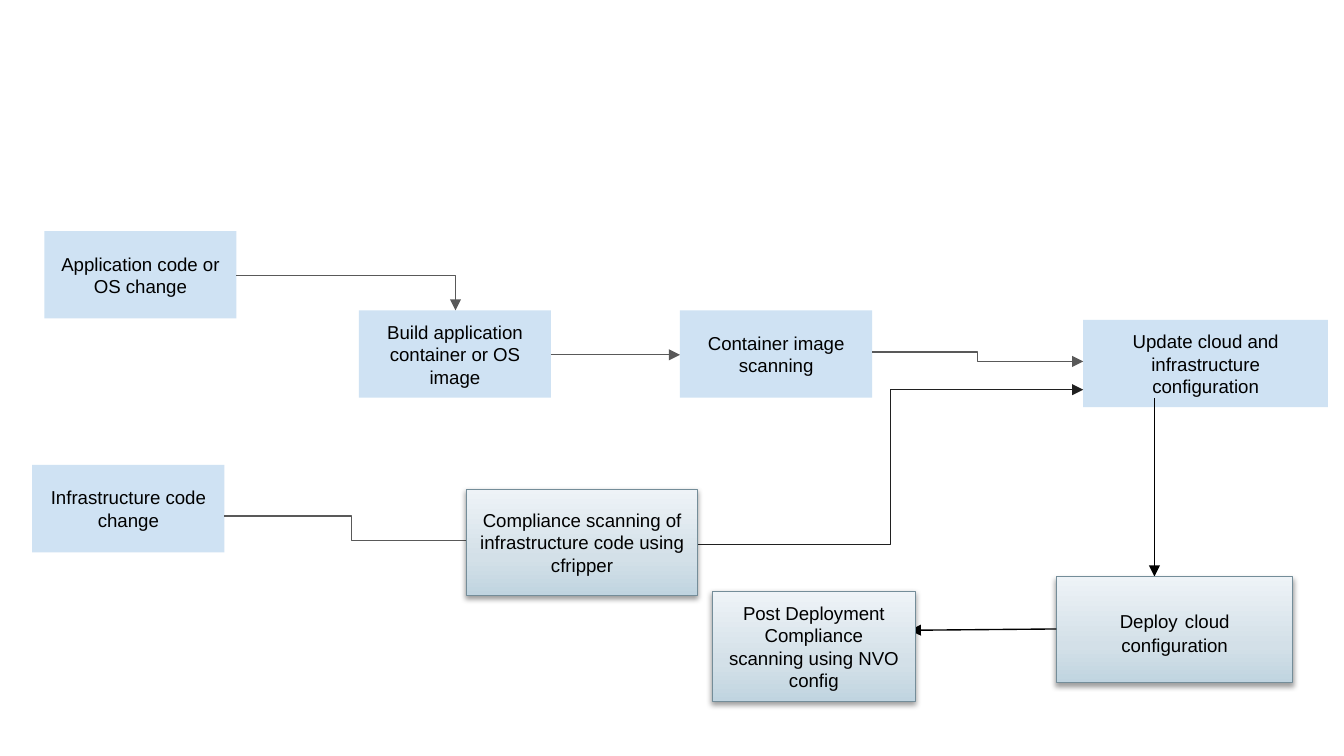
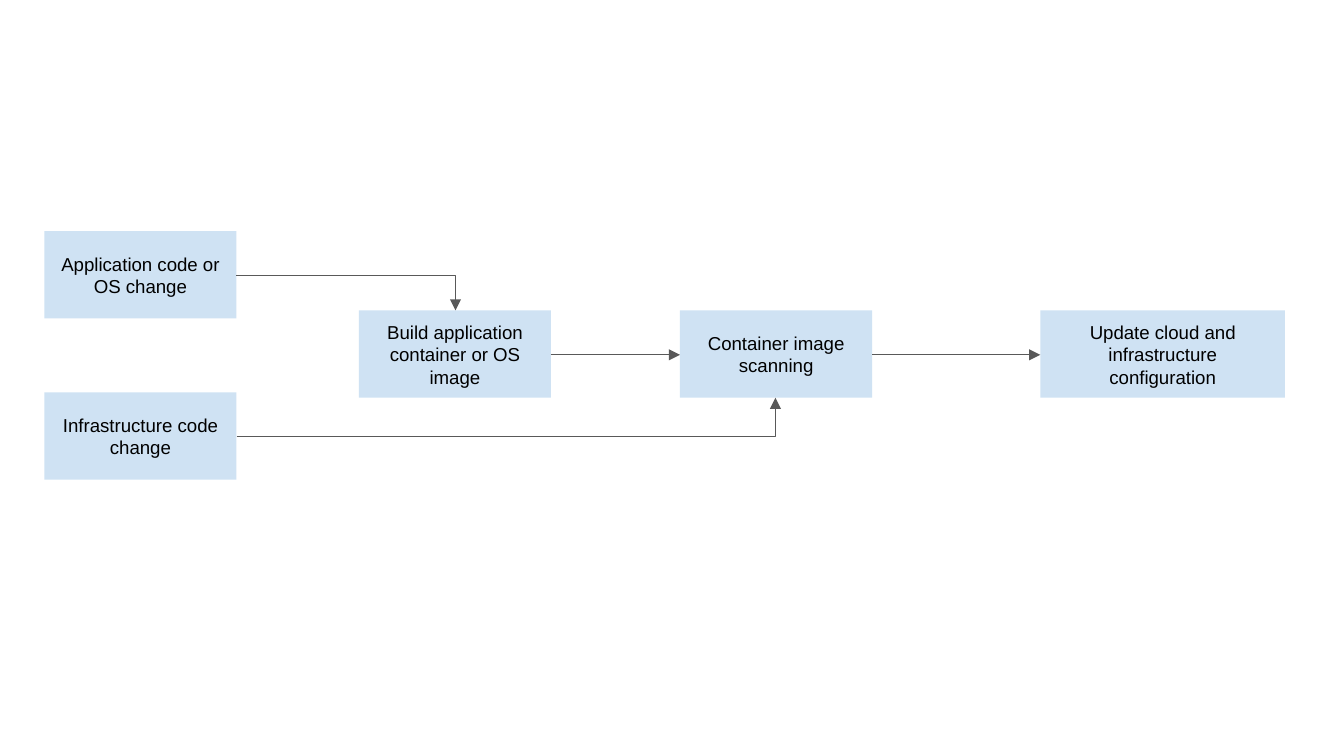
"""Build two slides that chart how code changes reach the cloud."""
import copy

import pptx
import pptx.util
import pptx.dml.color
import pptx.enum.shapes
import pptx.enum.text
import pptx.oxml
import pptx.oxml.ns

Inches, Pt = pptx.util.Inches, pptx.util.Pt
COLORS = {"pale": "CFE2F3", "edge": "748D99", "text": "000000", "gray": "595959",
          "dark": "202020", "black": "000000", "low": "C0D4E0", "mid": "D3E0E8",
          "high": "EEF3F7"}
STOPS = ((0, "low"), (0.35, "mid"), (1, "high"))
FRAME = {"word_wrap": True, "vertical_anchor": pptx.enum.text.MSO_ANCHOR.MIDDLE,
         "margin_left": Inches(0.1), "margin_right": Inches(0.1)}
FLAT = {"margin_top": Inches(0.1), "margin_bottom": Inches(0.1)}
RAISED = {"margin_top": Inches(0.05), "margin_bottom": Inches(0.05)}
WIDE, TALL = 1.43, 0.65
ROW = 2.31
MID = 2.64
SHADE = ('<a:outerShdw %s blurRad="%d" dist="%d" dir="5400000" rotWithShape="0">'
         '<a:srgbClr val="000000"><a:alpha val="38000"/></a:srgbClr></a:outerShdw>'
         % (pptx.oxml.ns.nsdecls("a"), Pt(3.1), Pt(1.6)))


def color(name):
    return pptx.dml.color.RGBColor.from_string(COLORS[name])


def style(item, values):
    for key, value in values.items():
        setattr(item, key, value)


def box(slide, runs, left, top, width=WIDE, height=TALL, form=FLAT):
    shape = slide.shapes.add_shape(pptx.enum.shapes.MSO_SHAPE.RECTANGLE, Inches(left),
                                   Inches(top), Inches(width), Inches(height))
    shape.shadow.inherit = False
    frame = shape.text_frame
    style(frame, {**FRAME, **form})
    para = frame.paragraphs[0]
    para.alignment = pptx.enum.text.PP_ALIGN.CENTER
    for text, size in [(runs, 10)] if isinstance(runs, str) else runs:
        run = para.add_run()
        run.text = text
        style(run.font, {"name": "Arial", "size": Pt(size)})
        run.font.color.rgb = color("text")
    return shape


def flat(slide, text, left, top, width=WIDE):
    shape = box(slide, text, left, top, width)
    shape.fill.solid()
    shape.fill.fore_color.rgb = color("pale")
    shape.line.fill.background()


def raised(slide, runs, left, top, width, height):
    shape = box(slide, runs, left, top, width, height, RAISED)
    shape.fill.gradient()
    shape.fill.gradient_angle = 90
    props = shape._element.spPr
    stops = props.find(".//" + pptx.oxml.ns.qn("a:gsLst"))
    stops.append(copy.deepcopy(stops[0]))
    for stop, (place, name) in zip(shape.fill.gradient_stops, STOPS):
        stop.position = place
        stop.color.rgb = color(name)
    shape.line.color.rgb = color("edge")
    shape.line.width = Pt(0.75)
    props.find(pptx.oxml.ns.qn("a:effectLst")).append(pptx.oxml.parse_xml(SHADE))


def link(slide, start, end, tint="gray", bend="bentConnector3"):
    kind = pptx.enum.shapes.MSO_CONNECTOR
    line = slide.shapes.add_connector(kind.ELBOW if bend else kind.STRAIGHT,
                                      *map(Inches, start + end))
    line.line.color.rgb = color(tint)
    line.line.width = Pt(0.75)
    props = line._element.spPr
    if bend:
        props.find(pptx.oxml.ns.qn("a:prstGeom")).set("prst", bend)
    tail = pptx.oxml.parse_xml('<a:tailEnd %s type="triangle"/>' % pptx.oxml.ns.nsdecls("a"))
    line.line._get_or_add_ln().append(tail)
    props.append(pptx.oxml.parse_xml('<a:effectLst %s/>' % pptx.oxml.ns.nsdecls("a")))


def flow(deck, update, infra):
    slide = deck.slides.add_slide(deck.slide_layouts[6])
    flat(slide, "Build application container or OS image", 2.67, ROW)
    flat(slide, "Update cloud and infrastructure configuration", *update, 1.82)
    flat(slide, "Container image scanning", 5.06, ROW)
    flat(slide, "Application code or OS change", 0.33, 1.72)
    flat(slide, "Infrastructure code change", *infra)
    link(slide, (1.76, 2.05), (3.39, ROW), bend="bentConnector2")
    link(slide, (4.1, MID), (5.06, MID))
    return slide


def secure(deck):
    slide = flow(deck, (8.06, 2.38), (0.24, 3.46))
    link(slide, (1.67, 3.84), (3.56, 4.02))
    link(slide, (6.49, 2.62), (8.06, 2.69))
    link(slide, (8.59, 2.96), (8.59, 4.29), "black", None)
    raised(slide, [("Deploy", 10), (" ", 14), ("cloud configuration", 10)],
           7.86, 4.29, 1.76, 0.79)
    link(slide, (7.86, 4.68), (6.77, 4.69), "black", None)
    raised(slide, "Post Deployment Compliance scanning using NVO config",
           5.3, 4.4, 1.51, 0.82)
    raised(slide, "Compliance scanning of infrastructure code using cfripper",
           3.47, 3.64, 1.72, 0.79)
    link(slide, (5.19, 4.05), (8.06, 2.9), "dark")


def basic(deck):
    slide = flow(deck, (7.74, ROW), (0.33, 2.92))
    link(slide, (1.76, 3.25), (5.77, 2.96), bend="bentConnector2")
    link(slide, (6.49, MID), (7.74, MID))


def main():
    deck = pptx.Presentation()
    style(deck, {"slide_width": Inches(10), "slide_height": Inches(10) * 9 // 16})
    secure(deck)
    basic(deck)
    deck.save("out.pptx")


main()
